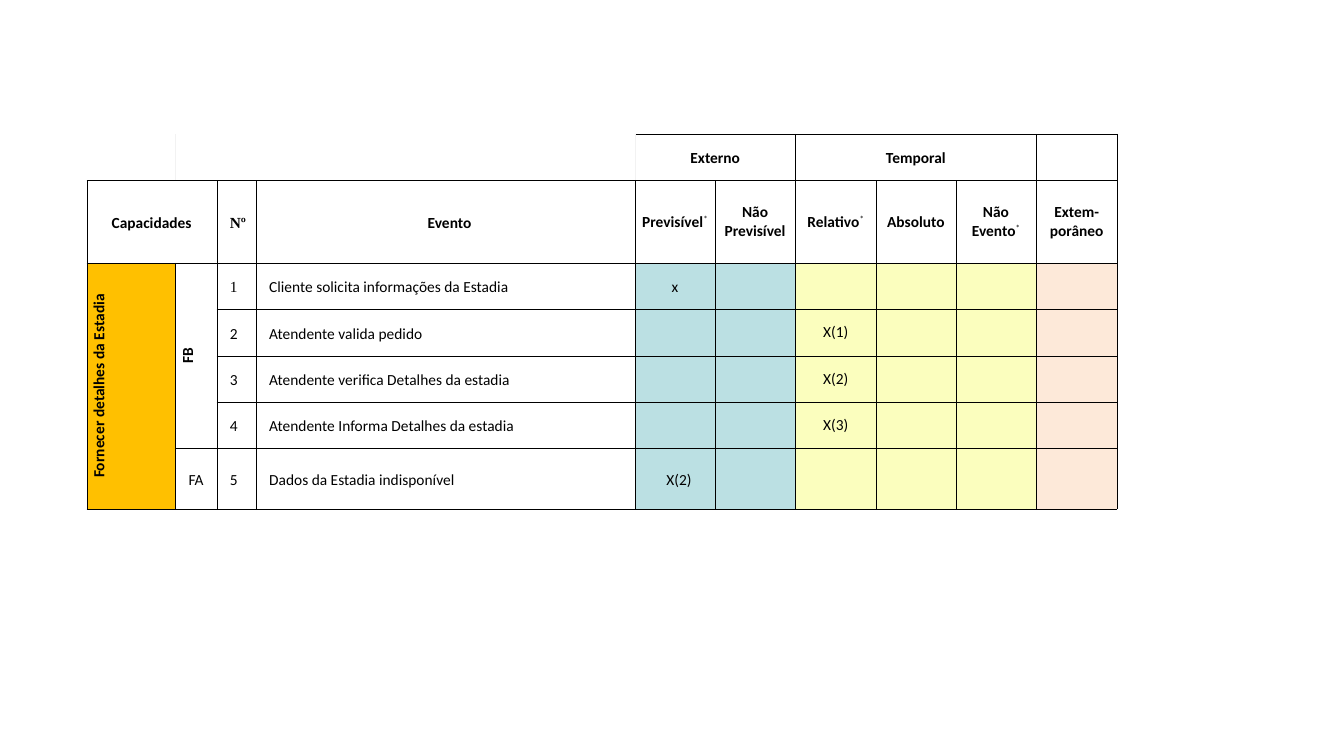
"""Build a slide with a table that classifies the events of a hotel stay."""
from lxml import etree
from pptx import Presentation
from pptx.dml.color import RGBColor
from pptx.enum.text import MSO_ANCHOR, PP_ALIGN
from pptx.oxml.ns import qn
from pptx.util import Inches, Pt

LEFT, CENTER = PP_ALIGN.LEFT, PP_ALIGN.CENTER
MIDDLE = MSO_ANCHOR.MIDDLE
BLACK, PALE_GRAY = "000000", "F2F2F2"
ORANGE, BLUE, YELLOW, PEACH = "FFC000", "BBE0E3", "FBFEBE", "FDE9D9"
NO_STYLE = "{2D5ABB26-0587-4C30-8999-92F81FD0307C}"

COLUMN_WIDTHS = [0.88, 0.41, 0.39, 3.76, 0.79, 0.8, 0.8, 0.79, 0.8, 0.8]
ROW_HEIGHTS = [0.46, 0.82, 0.46, 0.46, 0.46, 0.46, 0.6]
MERGES = [(0, 1, 0, 3), (0, 4, 0, 5), (0, 6, 0, 8), (1, 0, 1, 1), (2, 0, 6, 0), (2, 1, 5, 1)]
CATEGORIES = ["Previsível*", "Não Previsível", "Relativo*", "Absoluto", "Não Evento*", "Extem-porâneo"]
CATEGORY_FILLS = [BLUE] * 2 + [YELLOW] * 3 + [PEACH]
EVENTS = [
    "Cliente solicita informações da Estadia",
    "Atendente valida pedido",
    "Atendente verifica Detalhes da estadia",
    "Atendente Informa Detalhes da estadia",
    "Dados da Estadia indisponível ",
]


def write(cell, text, align=CENTER, bold=False, font="Calibri", indent=0, spacing=1.15, vertical=False):
    cell.vertical_anchor = MIDDLE
    cell.margin_left = cell.margin_right = Inches(0.05)
    cell.margin_top = cell.margin_bottom = 0
    if vertical:
        cell._tc.get_or_add_tcPr().set("vert", "vert270")
    paragraph = cell.text_frame.paragraphs[0]
    paragraph.alignment = align
    paragraph.line_spacing = spacing
    if indent:
        properties = paragraph._p.get_or_add_pPr()
        properties.set("marL", "0")
        properties.set("indent", str(Inches(indent)))
    label, star, _ = text.partition("*")
    for part in filter(None, (label, star)):
        run = paragraph.add_run()
        run.text = part
        run.font.size = Pt(11)
        run.font.name = font
        run.font.bold = bold and part != star
        run.font.color.rgb = RGBColor.from_string(BLACK)
        if part == star:
            run._r.get_or_add_rPr().set("baseline", "30000")


def add_borders(cell, colors):
    properties = cell._tc.get_or_add_tcPr()
    for position, (side, color) in enumerate(colors.items()):
        line = etree.Element(qn(f"a:ln{side}"), w=str(Pt(0.25)))
        fill = etree.SubElement(line, qn("a:solidFill" if color else "a:noFill"))
        if color:
            etree.SubElement(fill, qn("a:srgbClr"), val=color)
        properties.insert(position, line)


presentation = Presentation()
presentation.slide_width, presentation.slide_height = Inches(13.33), Inches(7.5)
slide = presentation.slides.add_slide(presentation.slide_layouts[6])
table = slide.shapes.add_table(
    len(ROW_HEIGHTS), len(COLUMN_WIDTHS), Inches(0.86), Inches(1.33), Inches(10.21), Inches(3.71)
).table
table.first_row = table.horz_banding = False
table._tbl.tblPr.find(qn("a:tableStyleId")).text = NO_STYLE
for column, width in zip(table.columns, COLUMN_WIDTHS):
    column.width = Inches(width)
for row, height in zip(table.rows, ROW_HEIGHTS):
    row.height = Inches(height)
for top, left, bottom, right in MERGES:
    table.cell(top, left).merge(table.cell(bottom, right))

write(table.cell(0, 4), "Externo", bold=True)
write(table.cell(0, 6), "Temporal", bold=True)
write(table.cell(1, 0), "Capacidades", bold=True)
write(table.cell(1, 2), "Nº", LEFT, bold=True, font="Times New Roman", indent=0.08)
write(table.cell(1, 3), "Evento", bold=True, indent=0.08)
for column_index, category in enumerate(CATEGORIES, 4):
    write(table.cell(1, column_index), category, bold=True, spacing=1.0)

write(table.cell(2, 0), "Fornecer detalhes da Estadia", bold=True, vertical=True)
write(table.cell(2, 1), "FB", bold=True, vertical=True)
write(table.cell(6, 1), "FA", LEFT, indent=0.08)
for number, event in enumerate(EVENTS, 1):
    number_font = "Times New Roman" if number == 1 else "Calibri"
    write(table.cell(number + 1, 2), str(number), LEFT, font=number_font, indent=0.08)
    write(table.cell(number + 1, 3), event, LEFT, indent=0.08)
write(table.cell(2, 4), "x")
write(table.cell(6, 4), "X(2)", indent=0.08)
for number in (1, 2, 3):
    write(table.cell(number + 2, 6), f"X({number})", spacing=1.0)

for row_index in range(len(ROW_HEIGHTS)):
    for column_index in range(len(COLUMN_WIDTHS)):
        cell = table.cell(row_index, column_index)
        color = None
        if row_index >= 2:
            color = ORANGE if column_index == 0 else None
            if column_index >= 4:
                color = CATEGORY_FILLS[column_index - 4]
        if color:
            cell.fill.solid()
            cell.fill.fore_color.rgb = RGBColor.from_string(color)
        else:
            cell.fill.background()
        borders = dict.fromkeys("LRTB", BLACK)
        if row_index == 0 and column_index <= 4:
            borders["L"] = PALE_GRAY if column_index else None
        if row_index == 0 and column_index < 4:
            borders.update(R=PALE_GRAY, T=None)
        add_borders(cell, borders)

presentation.save("out.pptx")
